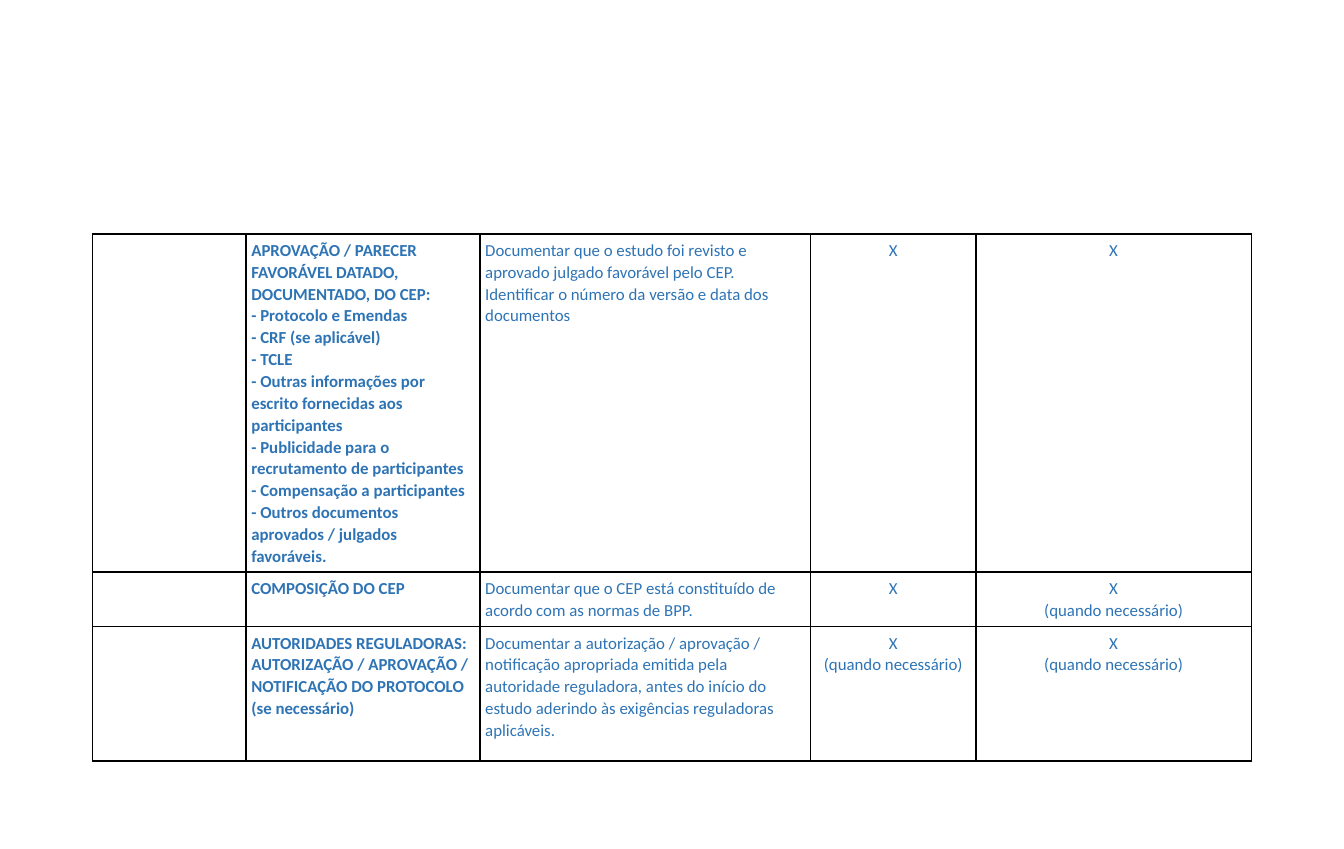
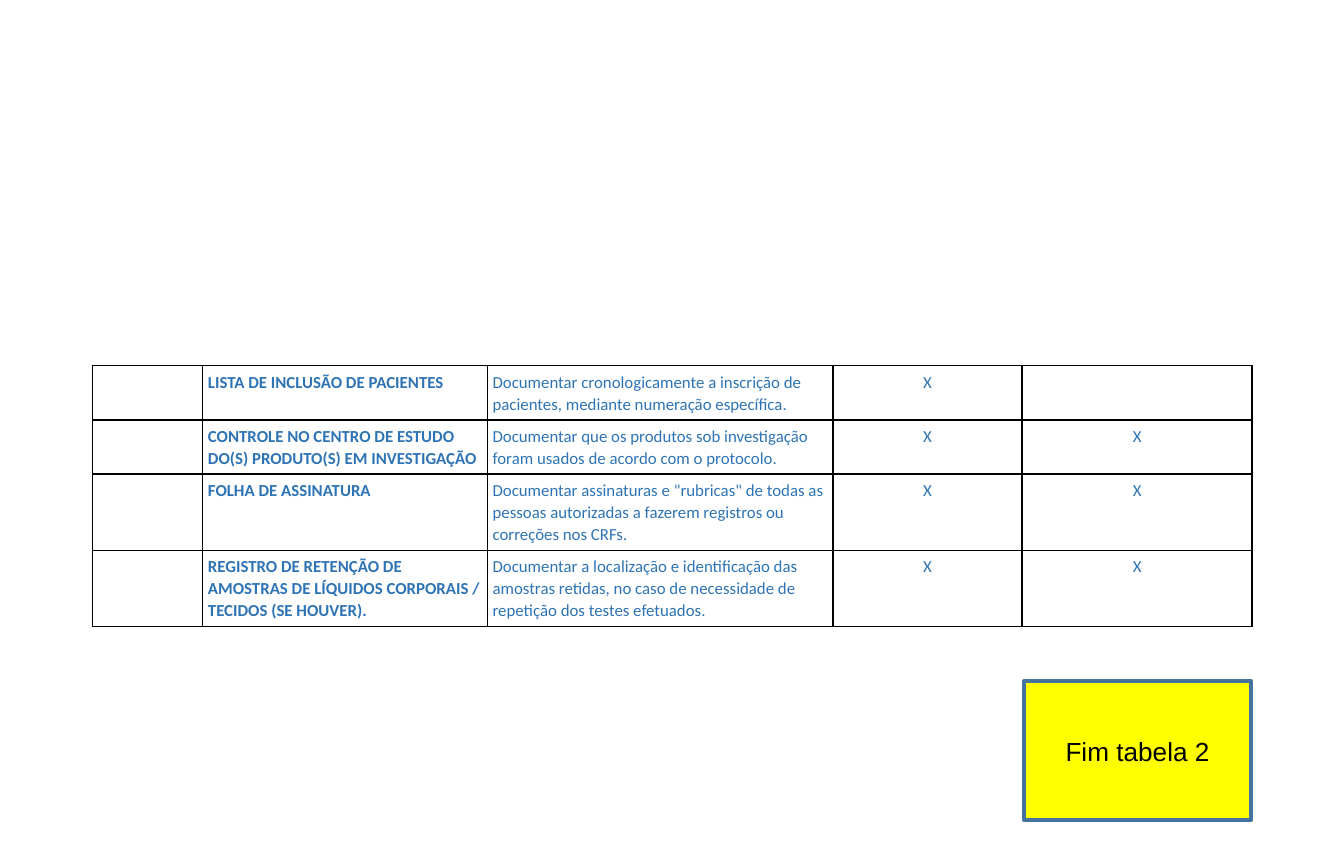
from dataclasses import dataclass

import lxml.etree
import pptx
import pptx.dml.color
import pptx.enum.shapes
import pptx.enum.text
import pptx.oxml.ns
import pptx.slide
import pptx.table
import pptx.text.text
import pptx.util

Cm = pptx.util.Cm
Pt = pptx.util.Pt
ALIGN = pptx.enum.text.PP_ALIGN

BLUE = "2E74B5"
BLACK = "000000"
YELLOW = "FFFF00"
EDGE = "43739E"
LEFT = 1.75
INSET = 0.1
WHEN = "X\n(quando necessário)"


@dataclass(frozen=True)
class Style:
    font: str
    size: float
    hue: str
    bold: bool = False
    align: ALIGN = ALIGN.LEFT
    space: float = 1.0


NAME = Style("Calibri", 9, BLUE, bold=True, space=1.07)
AIM = Style("Calibri", 9, BLUE, space=1.07)
MARK = Style("Calibri", 9, BLUE, align=ALIGN.CENTER, space=1.07)
LABEL = Style("Arial", 14, BLACK, align=ALIGN.CENTER)
STYLES = (AIM, NAME, AIM, MARK, MARK)


@dataclass(frozen=True)
class Row:
    height: float
    name: str
    aim: str
    site: str = "X"
    owner: str = "X"

    def texts(self) -> tuple[str, ...]:
        return "", self.name, self.aim, self.site, self.owner


@dataclass(frozen=True)
class Grid:
    top: float
    widths: tuple[float, ...]
    rows: tuple[Row, ...]


ETHICS = Grid(4.42, (2.9, 4.42, 6.25, 3.12, 5.21), (
    Row(6.32,
        "APROVAÇÃO / PARECER FAVORÁVEL DATADO, DOCUMENTADO, DO CEP:\n"
        "- Protocolo e Emendas\n"
        "- CRF (se aplicável)\n"
        "- TCLE\n"
        "- Outras informações por escrito fornecidas aos participantes\n"
        "- Publicidade para o recrutamento de participantes\n"
        "- Compensação a participantes\n"
        "- Outros documentos aprovados / julgados favoráveis.",
        "Documentar que o estudo foi revisto e aprovado julgado favorável "
        "pelo CEP. Identificar o número da versão e data dos documentos"),
    Row(1.02, "COMPOSIÇÃO DO CEP",
        "Documentar que o CEP está constituído de acordo com as normas de BPP.",
        owner=WHEN),
    Row(2.54,
        "AUTORIDADES REGULADORAS: AUTORIZAÇÃO / APROVAÇÃO / "
        "NOTIFICAÇÃO DO PROTOCOLO (se necessário)",
        "Documentar a autorização / aprovação / notificação apropriada "
        "emitida pela autoridade reguladora, antes do início do estudo "
        "aderindo às exigências reguladoras aplicáveis.",
        WHEN, WHEN),
))

RECORDS = Grid(6.91, (2.08, 5.38, 6.53, 3.58, 4.34), (
    Row(1.02, "LISTA DE INCLUSÃO DE PACIENTES",
        "Documentar cronologicamente a inscrição de pacientes, "
        "mediante numeração específica.", owner=""),
    Row(1.02, "CONTROLE NO CENTRO DE ESTUDO DO(S) PRODUTO(S) EM INVESTIGAÇÃO",
        "Documentar que os produtos sob investigação foram usados "
        "de acordo com o protocolo."),
    Row(1.44, "FOLHA DE ASSINATURA",
        "Documentar assinaturas e \"rubricas\" de todas as pessoas "
        "autorizadas a fazerem registros ou correções nos CRFs."),
    Row(1.44,
        "REGISTRO DE RETENÇÃO DE AMOSTRAS DE LÍQUIDOS CORPORAIS / "
        "TECIDOS (SE HOUVER).",
        "Documentar a localização e identificação das amostras retidas, "
        "no caso de necessidade de repetição dos testes efetuados."),
))


def color(code: str) -> pptx.dml.color.RGBColor:
    return pptx.dml.color.RGBColor.from_string(code)


def write(frame: pptx.text.text.TextFrame, text: str, style: Style) -> None:
    frame.word_wrap = True
    for num, line in enumerate(text.split("\n")):
        para = frame.add_paragraph() if num else frame.paragraphs[0]
        para.alignment = style.align
        para.line_spacing = style.space
        para.font.size = Pt(style.size)
        if line:
            run = para.add_run()
            run.text = line
            run.font.name = style.font
            run.font.size = Pt(style.size)
            run.font.bold = style.bold
            run.font.color.rgb = color(style.hue)


def border(cell: pptx.table._Cell) -> None:
    """Rule all four sides; the lines must come before the cell's fill."""
    qn = pptx.oxml.ns.qn
    props = cell._tc.get_or_add_tcPr()
    for spot, side in enumerate(("lnL", "lnR", "lnT", "lnB")):
        line = lxml.etree.Element(qn(f"a:{side}"), w=str(Pt(1)))
        fill = lxml.etree.SubElement(line, qn("a:solidFill"))
        lxml.etree.SubElement(fill, qn("a:srgbClr"), val=BLACK)
        props.insert(spot, line)


def draw_grid(slide: pptx.slide.Slide, grid: Grid) -> None:
    table = slide.shapes.add_table(
        len(grid.rows), len(grid.widths), Cm(LEFT), Cm(grid.top),
        Cm(sum(grid.widths)), Cm(sum(row.height for row in grid.rows))).table
    table.first_row = False
    table.horz_banding = False
    for col, width in zip(table.columns, grid.widths):
        col.width = Cm(width)
    for line, row in zip(table.rows, grid.rows):
        line.height = Cm(row.height)
        for cell, text, style in zip(line.cells, row.texts(), STYLES):
            cell.margin_left = cell.margin_right = Cm(INSET)
            cell.margin_top = cell.margin_bottom = Cm(INSET)
            cell.fill.background()
            border(cell)
            write(cell.text_frame, text, style)


def draw_end(slide: pptx.slide.Slide) -> None:
    box = slide.shapes.add_shape(
        pptx.enum.shapes.MSO_SHAPE.RECTANGLE,
        Cm(19.35), Cm(12.88), Cm(4.3), Cm(2.62))
    box.shadow.inherit = False
    box.fill.solid()
    box.fill.fore_color.rgb = color(YELLOW)
    box.line.color.rgb = color(EDGE)
    box.line.width = Pt(2)
    box.text_frame.vertical_anchor = pptx.enum.text.MSO_ANCHOR.MIDDLE
    write(box.text_frame, "Fim tabela 2", LABEL)


def main() -> None:
    deck = pptx.Presentation()
    deck.slide_width = Cm(25.4)
    deck.slide_height = Cm(16.05)
    for grid in (ETHICS, RECORDS):
        slide = deck.slides.add_slide(deck.slide_layouts[6])
        draw_grid(slide, grid)
    draw_end(slide)
    deck.save("out.pptx")


if __name__ == "__main__":
    main()
